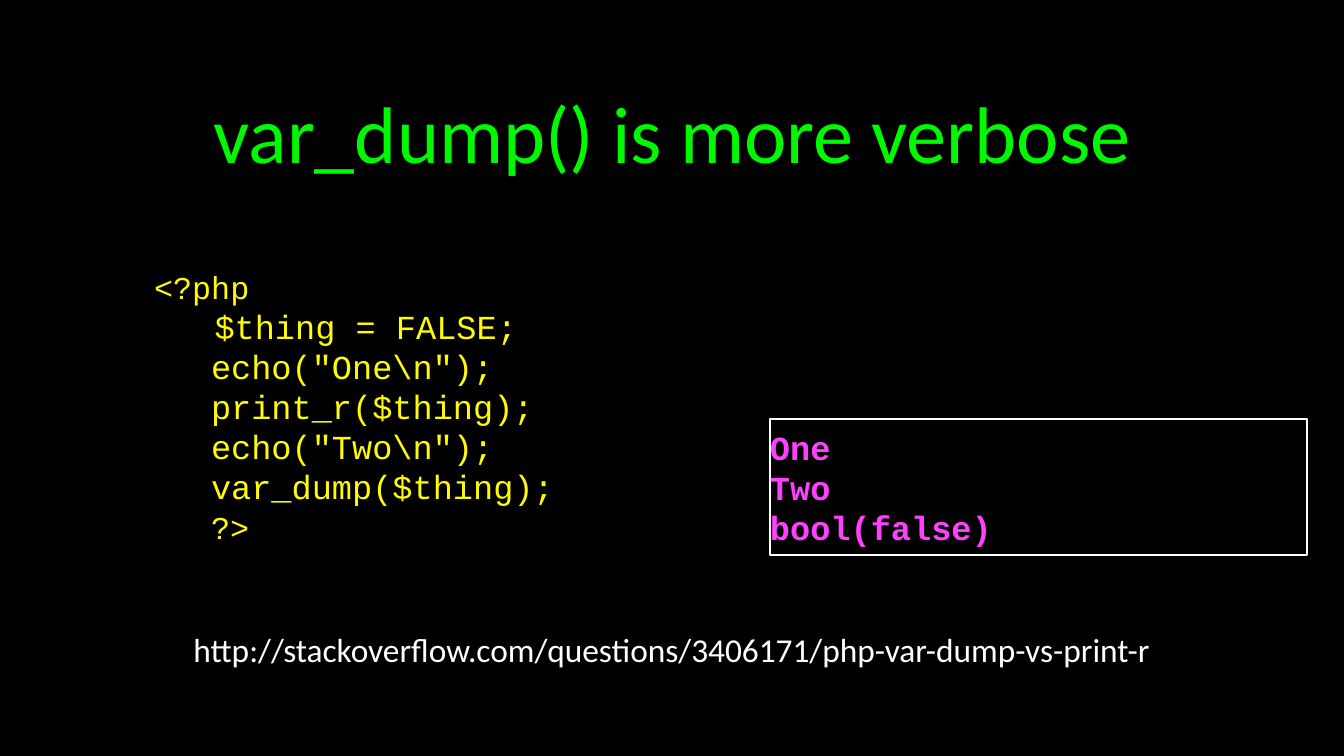
from dataclasses import dataclass

from pptx import Presentation
from pptx.dml.color import RGBColor
from pptx.enum.shapes import MSO_SHAPE as Preset
from pptx.enum.text import MSO_ANCHOR as Anchor, PP_ALIGN as Align
from pptx.util import Emu, Pt

PX = 914400 / 134.4
CODE_FONT = "Courier New"
HEADING_FONT = "Calibri"
CODE_SPACING = Pt(21.5)


@dataclass
class Box:
    left: int
    top: int
    width: int
    height: int
    inset: int = 0


@dataclass
class Line:
    text: str
    size: float
    font: str
    color: str
    bold: bool = False
    indent: int = 0
    align: Align = Align.LEFT
    spacing: float | Pt = 1.0


def px(length: int) -> Emu:
    return Emu(round(length * PX))


def rgb(color: str) -> RGBColor:
    return RGBColor.from_string(color)


def place(shape, box: Box) -> None:
    shape.left, shape.top = px(box.left), px(box.top)
    shape.width, shape.height = px(box.width), px(box.height)


def write(shape, box: Box, lines: list[Line]) -> None:
    frame = shape.text_frame
    frame.word_wrap = True
    frame.vertical_anchor = Anchor.MIDDLE
    frame.margin_left = frame.margin_right = px(box.inset)
    frame.margin_top = frame.margin_bottom = px(box.inset)
    for index, line in enumerate(lines):
        paragraph = frame.add_paragraph() if index else frame.paragraphs[0]
        paragraph.text = line.text
        paragraph.alignment = line.align
        paragraph.line_spacing = line.spacing
        if line.indent:
            properties = paragraph._p.get_or_add_pPr()
            properties.set("marL", str(px(line.indent)))
            properties.set("indent", "0")
        font = paragraph.font
        font.name, font.size, font.bold = line.font, Pt(line.size), line.bold
        font.color.rgb = rgb(line.color)


def add_panel(slide, box: Box, lines: list[Line]):
    right, bottom = box.left + box.width, box.top + box.height
    builder = slide.shapes.build_freeform(box.left, box.top, scale=PX)
    builder.add_line_segments([(right, box.top), (right, bottom), (box.left, bottom)])
    shape = builder.convert_to_shape()
    shape.shadow.inherit = False
    shape.fill.background()
    shape.line.fill.background()
    write(shape, box, lines)
    return shape


def code_line(text: str, size: int = 18, indent: int = 57) -> Line:
    return Line(text, size, CODE_FONT, "FFFB00", indent=indent, spacing=CODE_SPACING)


def main() -> None:
    presentation = Presentation()
    presentation.slide_width, presentation.slide_height = px(1344), px(756)
    slide = presentation.slides.add_slide(presentation.slide_layouts[5])
    slide.background.fill.solid()
    slide.background.fill.fore_color.rgb = rgb("000000")

    footer_band = slide.shapes.add_shape(Preset.RECTANGLE, 0, 0, 0, 0)
    place(footer_band, Box(0, 702, 1344, 54))
    footer_band.shadow.inherit = False
    footer_band.fill.solid()
    footer_band.fill.fore_color.rgb = rgb("000000")
    footer_band.line.fill.background()

    title_box = Box(125, 53, 1094, 156, 8)
    place(slide.shapes.title, title_box)
    write(slide.shapes.title, title_box, [
        Line("var_dump() is more verbose", 43, HEADING_FONT, "00F900", align=Align.CENTER),
    ])

    statements = [
        r'echo("One\n");',
        "print_r($thing);",
        r'echo("Two\n");',
        "var_dump($thing);",
    ]
    add_panel(slide, Box(150, 258, 440, 296, 4), [
        code_line("<?php", size=17, indent=0),
        code_line("   $thing = FALSE;", indent=0),
        *[code_line(statement) for statement in statements],
        code_line("?>", size=17),
    ])

    output = add_panel(slide, Box(770, 419, 537, 136), [
        Line(text, 18, CODE_FONT, "FF40FF", bold=True, spacing=CODE_SPACING)
        for text in ("One", "Two", "bool(false)")
    ])
    output.line.color.rgb = rgb("FFFFFF")
    output.line.width = Pt(1)

    add_panel(slide, Box(110, 624, 1124, 55, 4), [
        Line("http://stackoverflow.com/questions/3406171/php-var-dump-vs-print-r",
             17.9, HEADING_FONT, "FFFFFF", align=Align.CENTER, spacing=0.9),
    ])

    presentation.save("out.pptx")


if __name__ == "__main__":
    main()
